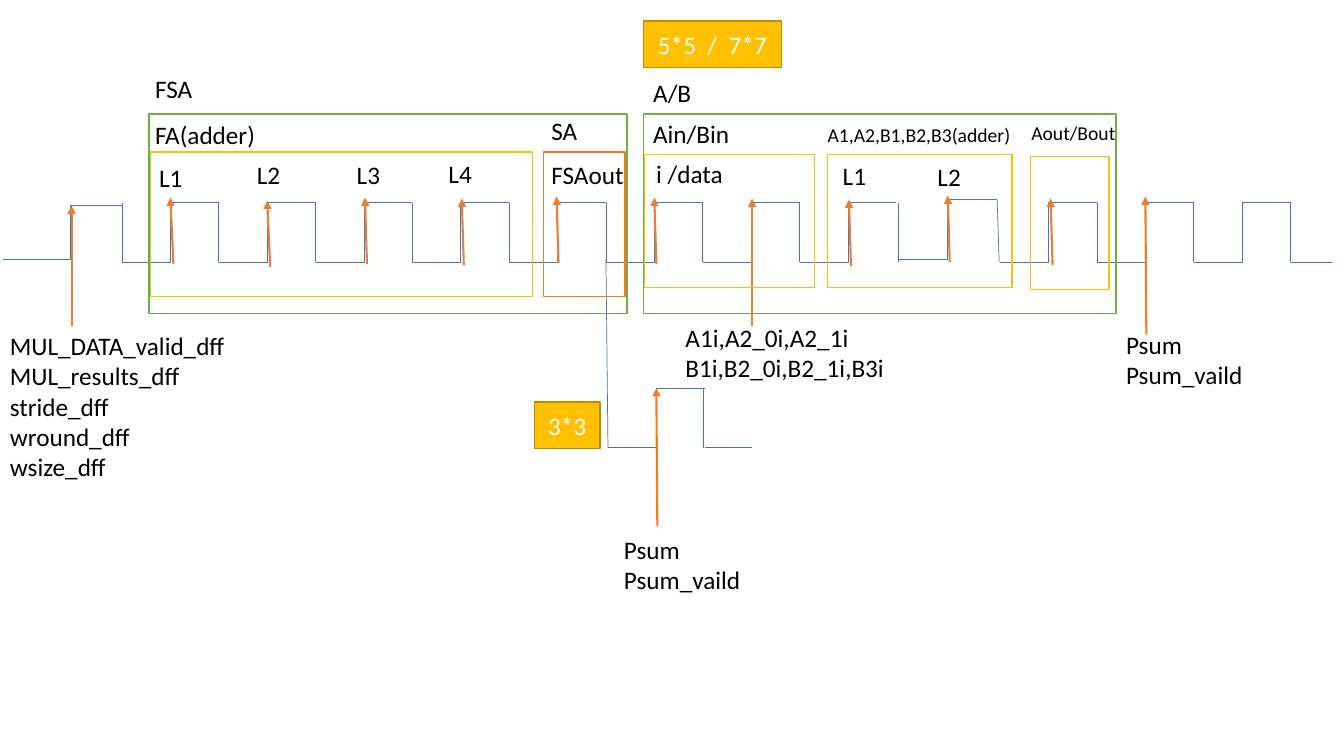
import dataclasses

import pptx
import pptx.dml.color
import pptx.enum.shapes
import pptx.enum.text
import pptx.oxml.xmlchemy
import pptx.util

Inches = pptx.util.Inches
Connector = pptx.enum.shapes.MSO_CONNECTOR


@dataclasses.dataclass(frozen=True)
class Theme:
    font: str = "Calibri"
    text: str = "000000"
    badge_text: str = "FFFFFF"
    wave: str = "4472C4"
    arrow: str = "ED7D31"
    stage: str = "70AD47"
    step: str = "FFC000"
    badge_line: str = "BD8E00"
    body_size: int = 18
    small_size: int = 14
    wave_width: float = 0.5
    box_width: float = 1
    arrow_width: float = 1.5


THEME = Theme()
PERIOD = 0.96
HIGH, LOW = 2.01, 2.6

RISES = [1.21 + PERIOD * i for i in range(8)] + [9.92 + PERIOD * i for i in range(3)]
FALLS = [1.21 + PERIOD * i for i in range(8)] + [8.91] + [10.88 + PERIOD * i for i in range(3)]

EXTRA_RISES = [
    (8.91, 2.57, 9.89, 1.98),
    (6.03, 4.44, 6.99, 3.85),
]
EXTRA_LINES = [
    (9.89, 1.98, 9.91, LOW),
    (12.8, LOW, 13.21, LOW),
    (6.98, 3.85, 6.98, 4.44),
    (6.99, 4.44, 7.46, 4.44),
    (6.01, 2.57, 6.03, 4.44),
]
ARROWS = [
    (0.71, 3.23, 0.71, 2.04),
    (1.72, 2.62, 1.69, 1.96),
    (2.68, 2.65, 2.65, 1.99),
    (3.64, 2.62, 3.62, 1.96),
    (4.6, 2.63, 4.58, 1.97),
    (5.54, 2.61, 5.52, 1.95),
    (6.51, 2.62, 6.49, 1.96),
    (7.46, 3.23, 7.46, 1.97),
    (8.44, 2.64, 8.42, 1.98),
    (9.42, 2.6, 9.4, 1.94),
    (10.44, 2.63, 10.42, 1.97),
    (11.37, 3.32, 11.36, 1.95),
    (6.52, 5.22, 6.51, 3.85),
]
BOXES = [
    (1.48, 1.13, 4.74, 1.98, THEME.stage),
    (1.49, 1.51, 3.79, 1.43, THEME.step),
    (5.39, 1.51, 0.81, 1.43, THEME.arrow),
    (6.38, 1.13, 4.69, 1.98, THEME.stage),
    (6.39, 1.53, 1.69, 1.32, THEME.step),
    (8.21, 1.53, 1.83, 1.32, THEME.step),
    (10.22, 1.55, 0.78, 1.32, THEME.step),
]
LABELS = [
    (1.44, 0.68, 0.57, 0.4, ["FSA"]),
    (1.44, 1.13, 1.2, 0.4, ["FA(adder)"]),
    (1.48, 1.56, 0.44, 0.4, ["L1"]),
    (2.45, 1.53, 0.44, 0.4, ["L2"]),
    (3.44, 1.53, 0.44, 0.4, ["L3"]),
    (4.35, 1.52, 0.44, 0.4, ["L4"]),
    (5.37, 1.09, 0.46, 0.4, ["SA"]),
    (5.37, 1.53, 0.92, 0.4, ["FSAout"]),
    (6.38, 0.72, 0.58, 0.4, ["A/B"]),
    (6.38, 1.12, 0.96, 0.4, ["Ain/Bin"]),
    (6.41, 1.52, 0.87, 0.4, ["i /data"]),
    (8.26, 1.54, 0.44, 0.4, ["L1"]),
    (9.2, 1.55, 0.44, 0.4, ["L2"]),
    (0, 3.23, 2.36, 1.62,
     ["MUL_DATA_valid_dff", "MUL_results_dff", "stride_dff", "wround_dff", "wsize_dff"]),
    (6.7, 3.15, 2.19, 0.71, ["A1i,A2_0i,A2_1i", "B1i,B2_0i,B2_1i,B3i"]),
    (11.07, 3.22, 1.37, 0.71, ["Psum", "Psum_vaild"]),
    (6.09, 5.25, 1.37, 0.71, ["Psum", "Psum_vaild"]),
]
SMALL_LABELS = [
    (8.11, 1.17, 2.04, 0.34, ["A1,A2,B1,B2,B3(adder)"]),
    (10.13, 1.15, 1.05, 0.34, ["Aout/Bout"]),
]
BADGES = [
    (5.3, 3.99, 0.65, 0.46, "3*3"),
    (6.38, 0.21, 1.37, 0.46, "5*5  /  7*7"),
]


def rgb(value):
    return pptx.dml.color.RGBColor.from_string(value)


def add_element(parent, tag, **attributes):
    element = pptx.oxml.xmlchemy.OxmlElement(tag)
    for name, value in attributes.items():
        element.set(name, value)
    parent.append(element)


def add_line(slide, points, color, width, kind=Connector.STRAIGHT):
    connector = slide.shapes.add_connector(kind, *map(Inches, points))
    connector.line.color.rgb = rgb(color)
    connector.line.width = pptx.util.Pt(width)
    add_element(connector._element.spPr, "a:effectLst")
    return connector


def add_wave_line(slide, *points):
    return add_line(slide, points, THEME.wave, THEME.wave_width)


def add_rise(slide, *points):
    return add_line(slide, points, THEME.wave, THEME.wave_width, Connector.ELBOW)


def add_arrow(slide, *points):
    connector = add_line(slide, points, THEME.arrow, THEME.arrow_width)
    add_element(connector.line._get_or_add_ln(), "a:tailEnd", type="triangle")


def add_box(slide, left, top, width, height, line, fill=None):
    shape = slide.shapes.add_shape(
        pptx.enum.shapes.MSO_SHAPE.RECTANGLE, *map(Inches, (left, top, width, height)))
    shape.shadow.inherit = False
    shape.line.color.rgb = rgb(line)
    shape.line.width = pptx.util.Pt(THEME.box_width)
    if fill:
        shape.fill.solid()
        shape.fill.fore_color.rgb = rgb(fill)
    else:
        shape.fill.background()
    return shape


def add_run(paragraph, text, size, color):
    run = paragraph.add_run()
    run.text = text
    run.font.name = THEME.font
    run.font.size = pptx.util.Pt(size)
    run.font.color.rgb = rgb(color)


def add_label(slide, left, top, width, height, lines, size=THEME.body_size):
    box = slide.shapes.add_textbox(*map(Inches, (left, top, width, height)))
    frame = box.text_frame
    frame.word_wrap = False
    frame.auto_size = pptx.enum.text.MSO_AUTO_SIZE.SHAPE_TO_FIT_TEXT
    for index, text in enumerate(lines):
        paragraph = frame.add_paragraph() if index else frame.paragraphs[0]
        add_run(paragraph, text, size, THEME.text)


def add_badge(slide, left, top, width, height, text):
    shape = add_box(slide, left, top, width, height, THEME.badge_line, THEME.step)
    frame = shape.text_frame
    frame.word_wrap = False
    frame.vertical_anchor = pptx.enum.text.MSO_ANCHOR.MIDDLE
    paragraph = frame.paragraphs[0]
    paragraph.alignment = pptx.enum.text.PP_ALIGN.CENTER
    add_run(paragraph, text, THEME.body_size, THEME.badge_text)


def main():
    presentation = pptx.Presentation()
    presentation.slide_width = Inches(13.33)
    presentation.slide_height = Inches(7.5)
    slide = presentation.slides.add_slide(presentation.slide_layouts[6])

    first_rise = add_rise(slide, 0.03, 2.57, 1.21, 2.04)
    adjustments = first_rise._element.spPr.prstGeom.get_or_add_avLst()
    add_element(adjustments, "a:gd", name="adj1", fmla="val 56600")

    for left in RISES:
        add_rise(slide, left, LOW, left + PERIOD, HIGH)
    for points in EXTRA_RISES:
        add_rise(slide, *points)
    for left in FALLS:
        add_wave_line(slide, left, HIGH, left, LOW)
    for points in EXTRA_LINES:
        add_wave_line(slide, *points)
    for points in ARROWS:
        add_arrow(slide, *points)
    for box in BOXES:
        add_box(slide, *box)
    for label in LABELS:
        add_label(slide, *label)
    for label in SMALL_LABELS:
        add_label(slide, *label, size=THEME.small_size)
    for badge in BADGES:
        add_badge(slide, *badge)

    presentation.save("out.pptx")


if __name__ == "__main__":
    main()
